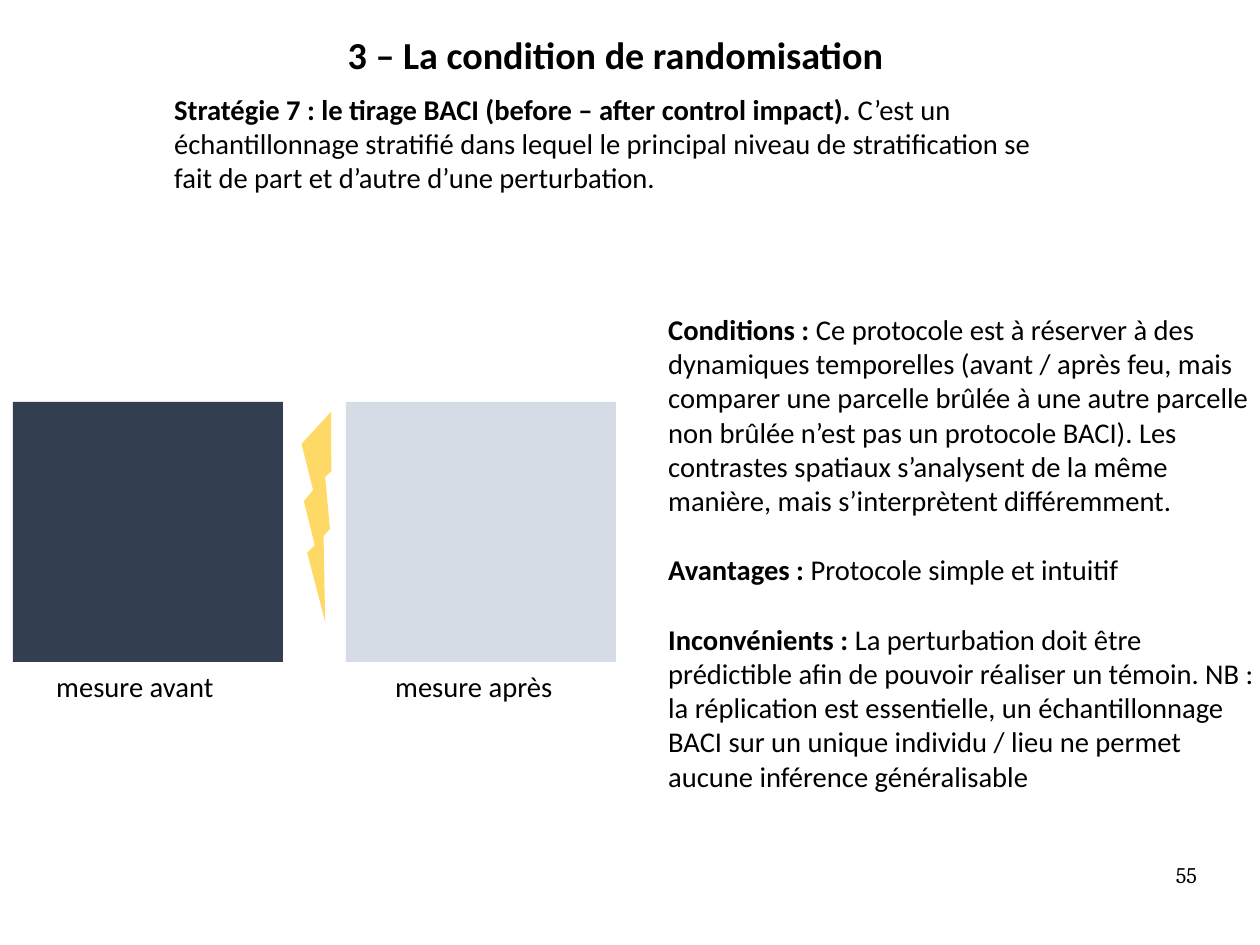
import pptx
import pptx.dml.color
import pptx.enum.shapes
import pptx.enum.text
import pptx.util

RGBColor = pptx.dml.color.RGBColor
MSO_SHAPE = pptx.enum.shapes.MSO_SHAPE
PP_ALIGN = pptx.enum.text.PP_ALIGN

BLACK = RGBColor(0x00, 0x00, 0x00)
DARK_SLATE = RGBColor(0x33, 0x3F, 0x50)
PALE_SLATE = RGBColor(0xD6, 0xDC, 0xE5)
YELLOW = RGBColor(0xFF, 0xD9, 0x66)

EMU_PER_PX = 8000
TITLE_ONLY_LAYOUT = 5
LINE_GAP = 22


def px(length):
    return pptx.util.Emu(length * EMU_PER_PX)


def add_run(paragraph, text, size=18, font="Calibri", bold=False, color=BLACK):
    run = paragraph.add_run()
    run.text = text
    run.font.size = pptx.util.Pt(size)
    run.font.name = font
    run.font.bold = bold
    run.font.color.rgb = color


class SlideBuilder:
    def __init__(self, slide):
        self.slide = slide

    def fill_text(self, frame, entries, align=PP_ALIGN.LEFT, gap=0, **style):
        """Write one paragraph per (bold lead, plain text) pair."""
        frame.word_wrap = True
        frame.auto_size = pptx.enum.text.MSO_AUTO_SIZE.NONE
        for index, (lead, body) in enumerate(entries):
            paragraph = frame.add_paragraph() if index else frame.paragraphs[0]
            paragraph.alignment = align
            paragraph.space_before = pptx.util.Pt(gap if index else 0)
            if lead:
                add_run(paragraph, lead, bold=True, **style)
            if body:
                add_run(paragraph, body, **style)

    def title(self, text, left, top, width, height):
        title = self.slide.shapes.title
        title.left, title.top = px(left), px(top)
        title.width, title.height = px(width), px(height)
        self.fill_text(title.text_frame, [(text, "")], align=PP_ALIGN.CENTER, size=24)

    def text(self, entries, left, top, width, height, **style):
        box = self.slide.shapes.add_textbox(px(left), px(top), px(width), px(height))
        self.fill_text(box.text_frame, entries, **style)
        return box

    def shape(self, kind, left, top, width, height, color, rotation=0):
        shape = self.slide.shapes.add_shape(kind, px(left), px(top), px(width), px(height))
        shape.shadow.inherit = False
        shape.fill.solid()
        shape.fill.fore_color.rgb = color
        shape.line.fill.background()
        shape.rotation = rotation

    def page_number(self, number, left, top, width, height):
        box = self.text([("", number)], left, top, width, height,
                        align=PP_ALIGN.RIGHT, size=14, font="Cambria")
        frame = box.text_frame
        frame.margin_left = frame.margin_right = 0
        frame.margin_top = frame.margin_bottom = 0


def main():
    presentation = pptx.Presentation()
    presentation.slide_width, presentation.slide_height = px(1260), px(945)
    layout = presentation.slide_layouts[TITLE_ONLY_LAYOUT]
    builder = SlideBuilder(presentation.slides.add_slide(layout))

    builder.title("3 – La condition de randomisation", 96, 26, 1039, 57)
    builder.text([
        ("Stratégie 7 : le tirage BACI (before – after control impact). ",
         "C’est un échantillonnage stratifié dans lequel le principal niveau de "
         "stratification se fait de part et d’autre d’une perturbation."),
    ], 163, 86, 910, 115)

    measures = [
        ("mesure avant", 13, DARK_SLATE, 45),
        ("mesure après", 346, PALE_SLATE, 384),
    ]
    for label, left, color, label_left in measures:
        builder.shape(MSO_SHAPE.RECTANGLE, left, 402, 270, 260, color)
        builder.text([("", label)], label_left, 663, 193, 46)
    builder.shape(MSO_SHAPE.LIGHTNING_BOLT, 288, 411, 58, 207, YELLOW, rotation=11.3)

    builder.text([
        ("Conditions : ",
         "Ce protocole est à réserver à des dynamiques temporelles (avant / après feu, "
         "mais comparer une parcelle brûlée à une autre parcelle non brûlée n’est pas un "
         "protocole BACI). Les contrastes spatiaux s’analysent de la même manière, mais "
         "s’interprètent différemment."),
        ("Avantages : ", "Protocole simple et intuitif"),
        ("Inconvénients : ",
         "La perturbation doit être prédictible afin de pouvoir réaliser un témoin. NB : "
         "la réplication est essentielle, un échantillonnage BACI sur un unique individu "
         "/ lieu ne permet aucune inférence généralisable"),
    ], 657, 306, 622, 496, gap=LINE_GAP)

    builder.page_number("55", 903, 861, 294, 65)
    presentation.save("out.pptx")


if __name__ == "__main__":
    main()
